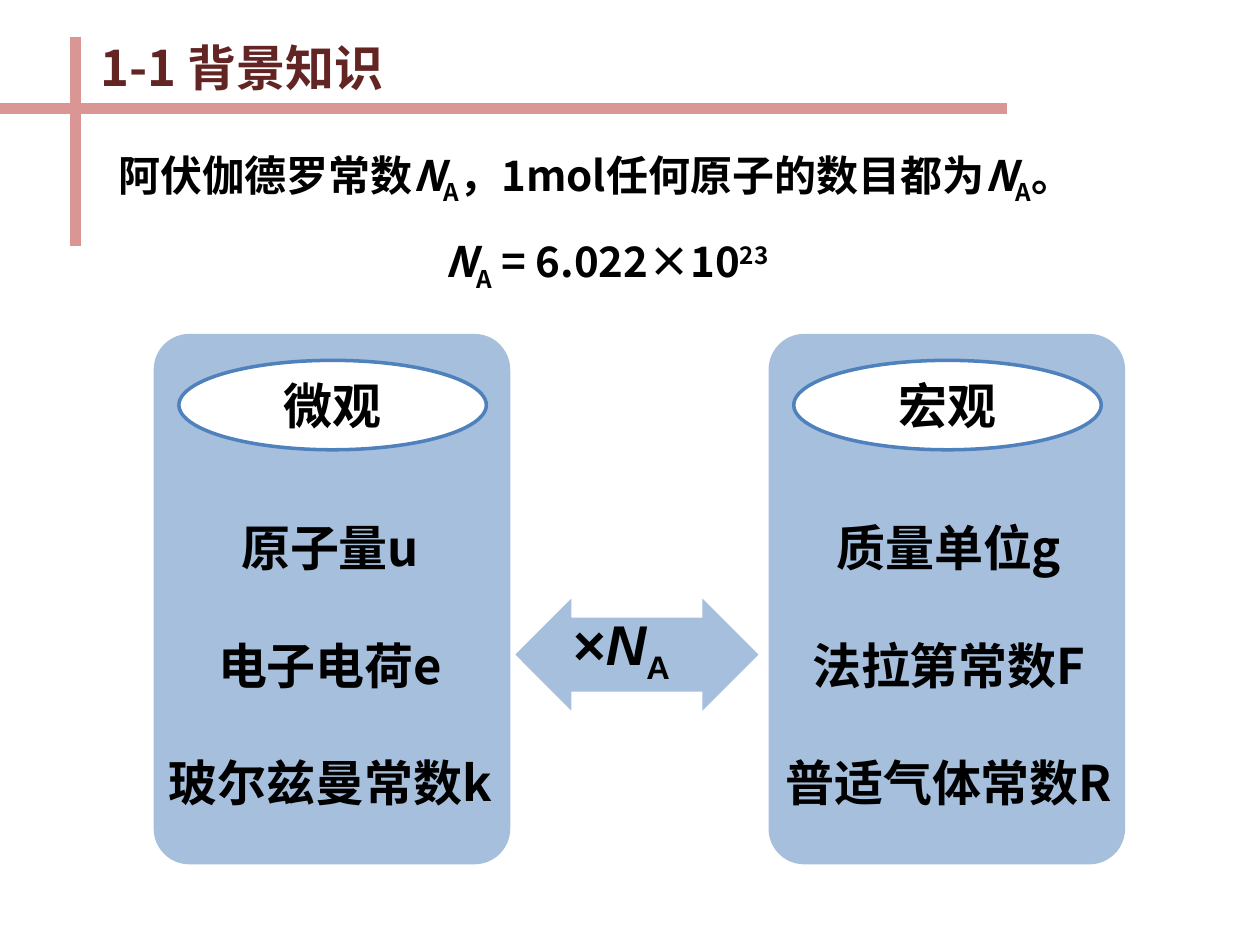
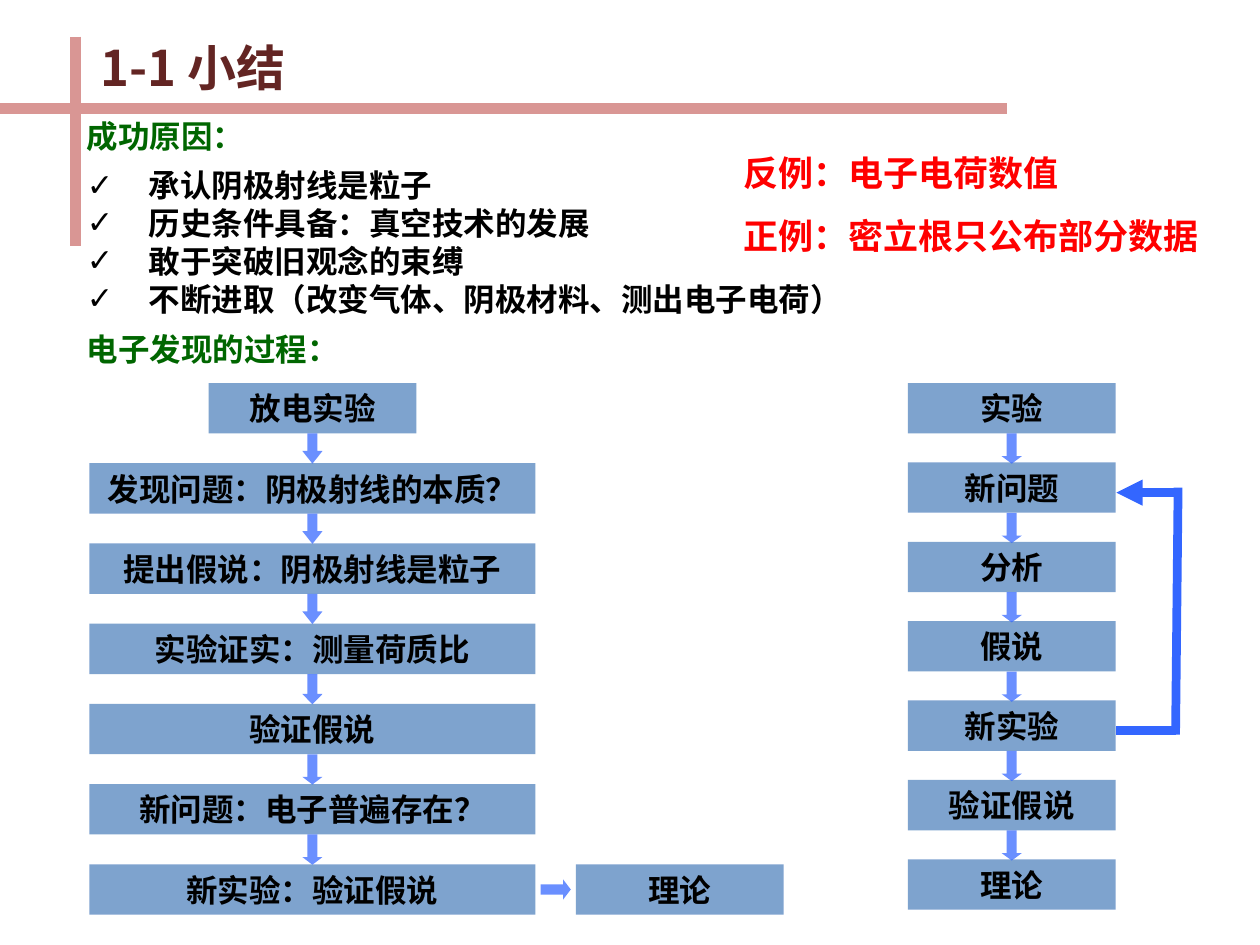
from lxml import etree
from pptx import Presentation
from pptx import util as u
from pptx.dml.color import RGBColor
from pptx.enum import shapes, text
from pptx.oxml.ns import qn

COLORS = {
    "band": "D99694", "title": "632523", "text": "000000", "heading": "006600",
    "example": "FF0000", "panel": "4F81BD", "arrow": "3366FF", "white": "FFFFFF",
}
CJK_FONT = "Noto Sans CJK SC"
LATIN_FONT = "Arial"
CENTER = text.PP_ALIGN.CENTER
LEFT = text.PP_ALIGN.LEFT
TOP = text.MSO_ANCHOR.TOP
MIDDLE = text.MSO_ANCHOR.MIDDLE
AVOGADRO = [("N", "italic"), ("A", "subscript")]
BASELINES = {"subscript": "-25000", "superscript": "30000"}
BOX_HEIGHT = 0.4


def rgb(name):
    """Return the palette colour with the given name."""
    return RGBColor.from_string(COLORS[name])


def place(shape, left, top, width, height):
    """Move and size a shape, in inches."""
    shape.left, shape.top = u.Inches(left), u.Inches(top)
    shape.width, shape.height = u.Inches(width), u.Inches(height)


def style_run(run, size, color, font, style=""):
    """Format one run, optionally italic or raised or lowered."""
    run.font.size = u.Pt(size)
    run.font.bold = True
    run.font.italic = style == "italic"
    run.font.name = font
    run.font.color.rgb = rgb(color)
    properties = run.font._element
    etree.SubElement(properties, qn("a:ea")).set("typeface", CJK_FONT)
    if style in BASELINES:
        properties.set("baseline", BASELINES[style])


def fill_text(shape, lines, size, color="text", font=LATIN_FONT, align=LEFT,
              spacing=1.0, anchor=TOP):
    """Write lines, each a string or a list of (text, style) runs."""
    frame = shape.text_frame
    frame.word_wrap = True
    frame.auto_size = text.MSO_AUTO_SIZE.NONE
    frame.vertical_anchor = anchor
    for index, line in enumerate(lines):
        paragraph = frame.add_paragraph() if index else frame.paragraphs[0]
        paragraph.alignment = align
        paragraph.line_spacing = spacing
        paragraph.space_before = u.Pt(0)
        for content, style in [(line, "")] if isinstance(line, str) else line:
            run = paragraph.add_run()
            run.text = content
            style_run(run, size, color, font, style)
    return frame


def add_text(slide, bounds, lines, size, **options):
    """Add a text box at bounds."""
    box = slide.shapes.add_textbox(*map(u.Inches, bounds))
    return fill_text(box, lines, size, **options)


def add_line(slide, start, end, color, width, arrow=False):
    """Add a straight line, with an arrowhead at its end if asked."""
    line = slide.shapes.add_connector(
        shapes.MSO_CONNECTOR.STRAIGHT, *map(u.Inches, (*start, *end)))
    line.line.color.rgb = rgb(color)
    line.line.width = u.Pt(width)
    if arrow:
        outline = line.line._get_or_add_ln()
        etree.SubElement(outline, qn("a:tailEnd")).set("type", "triangle")
    etree.SubElement(line._element.spPr, qn("a:effectLst"))


def add_block(slide, kind, bounds, color, opacity=100, adjustments=()):
    """Add a filled preset shape without outline or shadow."""
    shape = slide.shapes.add_shape(kind, *map(u.Inches, bounds))
    shape.shadow.inherit = False
    for index, value in enumerate(adjustments):
        shape.adjustments[index] = value
    shape.fill.solid()
    shape.fill.fore_color.rgb = rgb(color)
    shape.line.fill.background()
    if opacity < 100:
        fill_color = shape._element.spPr.find(f".//{qn('a:srgbClr')}")
        etree.SubElement(fill_color, qn("a:alpha")).set("val", str(opacity * 1000))
    return shape


def add_titled_slide(presentation, layout, title):
    """Add a slide with its title and crossing bands."""
    slide = presentation.slides.add_slide(presentation.slide_layouts[layout])
    add_line(slide, (0, 0.86), (7.99, 0.86), "band", 6)
    add_line(slide, (0.6, 0.29), (0.6, 1.95), "band", 6)
    place(slide.shapes.title, 0.7, 0.25, 8.24, 0.57)
    fill_text(slide.shapes.title, [title], 28, color="title", font=CJK_FONT)
    return slide


def add_scale_panel(slide, left, heading):
    """Add a rounded panel with a heading in an ellipse."""
    add_block(slide, shapes.MSO_SHAPE.ROUNDED_RECTANGLE,
              (left, 2.65, 2.83, 4.21), "panel", 50, [0.1])
    ellipse = add_block(slide, shapes.MSO_SHAPE.OVAL,
                        (left + 0.2, 2.86, 2.44, 0.71), "white")
    ellipse.line.color.rgb = rgb("panel")
    ellipse.line.width = u.Pt(2)
    add_text(slide, (left + 0.83, 2.93, 1.18, 0.57), [heading], 28, align=CENTER)


def add_check_list(slide, bounds, items):
    """Fill the body placeholder with ticked items."""
    body = slide.placeholders[1]
    place(body, *bounds)
    frame = fill_text(body, items, 18, anchor=MIDDLE)
    for paragraph in frame.paragraphs:
        properties = paragraph._element.get_or_add_pPr()
        properties.set("marL", str(u.Inches(0.49)))
        properties.set("indent", str(u.Inches(-0.49)))
        etree.SubElement(properties, qn("a:buChar")).set("char", "✓")


def add_step(slide, left, top, width, label):
    """Add one labelled box of a flow."""
    box = add_block(slide, shapes.MSO_SHAPE.RECTANGLE,
                    (left, top, width, BOX_HEIGHT), "panel", 73)
    fill_text(box, [label], 18, align=CENTER, anchor=MIDDLE)


def add_flow(slide, center, last_top, steps, head_depths):
    """Stack (label, width) boxes evenly, joined by down arrows."""
    first_top = 3.04
    pitch = (last_top - first_top) / (len(steps) - 1)
    for index, (label, width) in enumerate(steps):
        add_step(slide, center - width / 2, first_top + index * pitch, width, label)
    for index, depth in enumerate(head_depths):
        top = first_top + index * pitch + BOX_HEIGHT
        add_block(slide, shapes.MSO_SHAPE.DOWN_ARROW,
                  (center - 0.08, top, 0.16, 0.24), "arrow", 73, [0.5, depth])


def build_background(presentation):
    """Build the slide linking micro and macro constants."""
    slide = add_titled_slide(presentation, 5, "1-1 背景知识")
    definition = [("阿伏伽德罗常数", ""), *AVOGADRO,
                  ("，1mol任何原子的数目都为", ""), *AVOGADRO, ("。", "")]
    value = [*AVOGADRO, (" = 6.022×10", ""), ("23", "superscript")]
    frame = add_text(slide, (0.84, 0.91, 7.95, 1.24), [definition, value], 24,
                     font=CJK_FONT, spacing=1.5)
    frame.paragraphs[1].alignment = CENTER
    add_scale_panel(slide, 1.22, "微观")
    add_scale_panel(slide, 6.1, "宏观")
    constants = {
        1.22: ["原子量u", "电子电荷e", "玻尔兹曼常数k"],
        6.13: ["质量单位g", "法拉第常数F", "普适气体常数R"],
    }
    for left, names in constants.items():
        add_text(slide, (left, 3.59, 2.8, 2.76), names, 28,
                 font=CJK_FONT, align=CENTER, spacing=2.0)
    add_block(slide, shapes.MSO_SHAPE.LEFT_RIGHT_ARROW,
              (4.09, 4.75, 1.93, 0.89), "panel", 50, [0.66, 0.5])
    add_text(slide, (4.45, 4.79, 1.21, 0.64), [[("×", ""), *AVOGADRO]], 32)


def build_summary(presentation):
    """Build the slide on how the electron was discovered."""
    slide = add_titled_slide(presentation, 1, "1-1 小结")
    add_check_list(slide, (0.59, 1.26, 6.89, 1.32), [
        "承认阴极射线是粒子", "历史条件具备：真空技术的发展",
        "敢于突破旧观念的束缚", "不断进取（改变气体、阴极材料、测出电子电荷）"])
    for top, heading in ((0.88, "成功原因："), (2.57, "电子发现的过程：")):
        add_text(slide, (0.59, top, 5.35, 0.4), [heading], 18,
                 color="heading", anchor=MIDDLE)

    narrow, wide = 1.65, 3.54
    discovery = ["发现问题：阴极射线的本质？", "提出假说：阴极射线是粒子",
                 "实验证实：测量荷质比", "验证假说", "新问题：电子普遍存在？",
                 "新实验：验证假说"]
    add_flow(slide, 2.48, 6.86,
             [("放电实验", narrow)] + [(label, wide) for label in discovery],
             [0.63] * 3 + [0.51] + [0.38] * 2)
    add_step(slide, 4.57, 6.86, narrow, "理论")
    add_block(slide, shapes.MSO_SHAPE.RIGHT_ARROW,
              (4.29, 6.98, 0.24, 0.16), "arrow", 73, [0.5, 0.38])

    method = ["实验", "新问题", "分析", "假说", "新实验", "验证假说", "理论"]
    add_flow(slide, 8.03, 6.82, [(label, narrow) for label in method], [0.37] * 6)
    add_line(slide, (8.86, 5.8), (9.33, 5.8), "arrow", 5)
    add_line(slide, (9.33, 5.83), (9.35, 3.87), "arrow", 5)
    add_line(slide, (9.33, 3.91), (8.86, 3.91), "arrow", 5, arrow=True)
    add_text(slide, (5.8, 0.99, 4.21, 1.05),
             ["反例：电子电荷数值", "正例：密立根只公布部分数据"], 20,
             color="example", spacing=1.5)


def main():
    """Build and save the presentation."""
    presentation = Presentation()
    presentation.slide_width = u.Inches(10)
    presentation.slide_height = u.Inches(7.5)
    build_background(presentation)
    build_summary(presentation)
    presentation.save("out.pptx")


if __name__ == "__main__":
    main()
